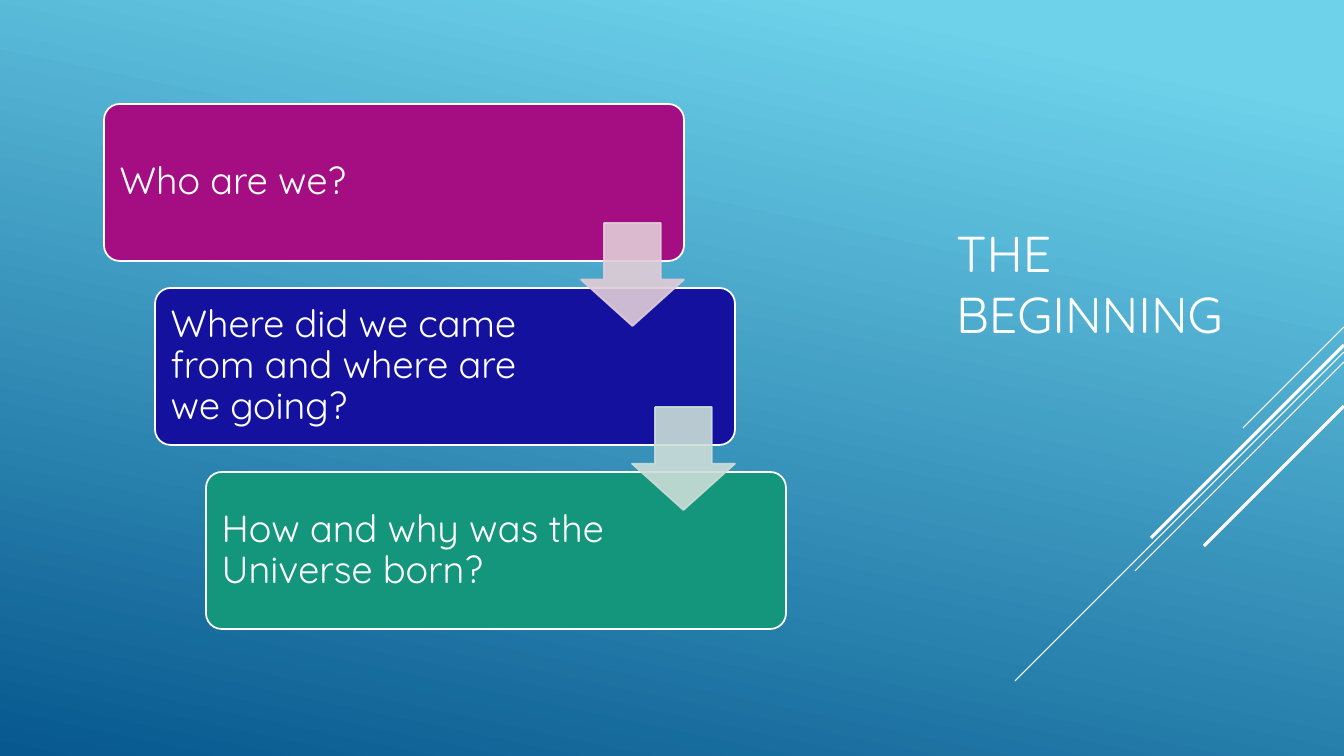
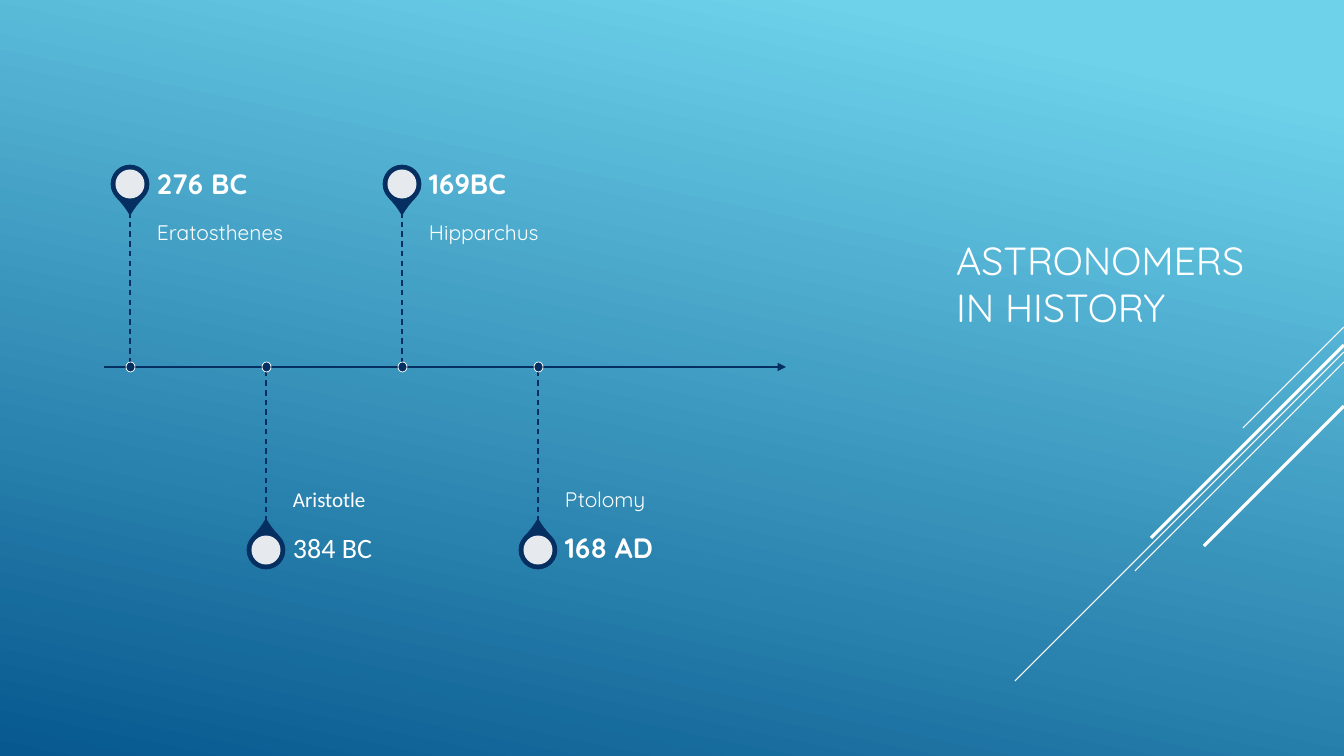
from lxml import etree
from pptx import Presentation
from pptx import util as u
from pptx.dml.color import RGBColor
from pptx.enum import dml, shapes, text
from pptx.oxml.ns import qn

SCALE = 914400 / 100.8
WIDTH, HEIGHT = 1344, 756
FONT = "Quicksand"
WHITE, NAVY = "FFFFFF", "052F61"
SKY, DEEP = "6ED2EB", "06588E"
TITLE_BOX = (946, 104, 336, 358)
STREAKS = [(327, 101, 0.75), (352, 329, 0.75), (362, 209, 0.75),
           (345, 193, 2.25), (406, 140, 2.25)]
QUESTIONS = [("Who are we?", "A50E82"),
             ("Where did we came from and where are we going?", "13119D"),
             ("How and why was the Universe born?", "14967C")]
ARROW_COLOURS = ["E1CCD8", "CCDDD8"]
ASTRONOMERS = [("276 BC", "Eratosthenes", FONT), ("384 BC", "Aristotle", "Calibri"),
               ("169BC", "Hipparchus", FONT), ("168 AD", "Ptolomy", FONT)]


def px(*lengths):
    """Turn pixel lengths into a list of EMU."""
    return [u.Emu(round(length * SCALE)) for length in lengths]


def colour(value):
    """Turn a hex string into a colour."""
    return RGBColor.from_string(value)


def write(shape, words, size, font=FONT, bold=False, anchor=text.MSO_ANCHOR.MIDDLE,
          insets=None, spacing=None):
    """Write one left-aligned white paragraph in a shape."""
    frame = shape.text_frame
    frame.auto_size = text.MSO_AUTO_SIZE.NONE
    frame.word_wrap = True
    frame.vertical_anchor = anchor
    if insets:
        (frame.margin_left, frame.margin_top,
         frame.margin_right, frame.margin_bottom) = px(*insets)
    paragraph = frame.paragraphs[0]
    paragraph.text = words
    paragraph.alignment = text.PP_ALIGN.LEFT
    paragraph.line_spacing = spacing
    paragraph.font.name = font
    paragraph.font.size = u.Pt(size)
    paragraph.font.bold = bold
    paragraph.font.color.rgb = colour(WHITE)


def add_shape(slide, kind, box, fill, line=None, weight=1.25, opacity=100):
    """Add a flat preset shape in a pixel box."""
    shape = slide.shapes.add_shape(kind, *px(*box))
    shape.shadow.inherit = False
    shape.fill.solid()
    shape.fill.fore_color.rgb = colour(fill)
    if line:
        shape.line.color.rgb = colour(line)
        shape.line.width = u.Pt(weight)
    else:
        shape.line.fill.background()
    if opacity < 100:
        for node in shape.element.spPr.iter(qn("a:srgbClr")):
            etree.SubElement(node, qn("a:alpha"), val=str(opacity * 1000))
    return shape


def add_line(slide, ends, stroke, weight, dashed=False, arrow=False):
    """Add a straight line between two pixel points."""
    connector = slide.shapes.add_connector(shapes.MSO_CONNECTOR.STRAIGHT, *px(*ends))
    connector.line.color.rgb = colour(stroke)
    connector.line.width = u.Pt(weight)
    if dashed:
        connector.line.dash_style = dml.MSO_LINE.DASH
    properties = connector.element.spPr
    if arrow:
        etree.SubElement(properties.find(qn("a:ln")), qn("a:tailEnd"), type="triangle")
    etree.SubElement(properties, qn("a:effectLst"))


def paint_master(master):
    """Give every slide the blue gradient."""
    fill = master.background.fill
    fill.gradient()
    fill.gradient_angle = 258
    for stop, value, position in zip(fill.gradient_stops, (SKY, DEEP), (0.1, 1)):
        stop.color.rgb = colour(value)
        stop.position = position


def add_slide(presentation, title, size):
    """Add a slide with diagonal streaks and the title on the right."""
    slide = presentation.slides.add_slide(presentation.slide_layouts[5])
    for top, reach, weight in STREAKS:
        add_line(slide, (WIDTH, top, WIDTH - reach, top + reach), WHITE, weight)
    shape = slide.shapes.title
    shape.left, shape.top, shape.width, shape.height = px(*TITLE_BOX)
    write(shape, title, size)
    return slide


def add_cascade(slide, box):
    """Place the stepped question cards and the arrows between them."""
    left, top, width, height = box
    card_width, card_height, arrow_size, overlap = 580, 157, 103, 38
    last = len(QUESTIONS) - 1
    step_x, step_y = (width - card_width) / last, (height - card_height) / last
    for index, (question, fill) in enumerate(QUESTIONS):
        card = add_shape(slide, shapes.MSO_SHAPE.ROUNDED_RECTANGLE,
                         (left + index * step_x, top + index * step_y,
                          card_width, card_height), fill, WHITE)
        card.adjustments[0] = 0.1
        write(card, question, 27, insets=(11, 11, 165, 11), spacing=0.9)
    for index, fill in enumerate(ARROW_COLOURS):
        arrow = add_shape(slide, shapes.MSO_SHAPE.DOWN_ARROW,
                          (left + index * step_x + card_width - arrow_size,
                           top + index * step_y + card_height - overlap,
                           arrow_size, arrow_size), fill, fill, opacity=90)
        arrow.adjustments[0], arrow.adjustments[1] = 0.55, 0.45


def add_event(slide, x, axis, above, event):
    """Place one pin, its stem, its dot and its two texts."""
    date, name, font = event
    side = -1 if above else 1
    stem, pin_distance, pin, hole = 155, 183, 37, 29
    text_left, text_width, date_height = x + 27, 221, 54
    pin_y = axis + side * pin_distance
    drop = add_shape(slide, shapes.MSO_SHAPE.TEAR,
                     (x - pin / 2, pin_y - pin / 2, pin, pin), NAVY, NAVY)
    drop.adjustments[0] = 1.15
    drop.rotation = 135 if above else 315
    add_shape(slide, shapes.MSO_SHAPE.OVAL,
              (x - hole / 2, pin_y - hole / 2, hole, hole), WHITE, opacity=90)
    name_top, date_top = (axis - stem, axis - stem - date_height) if above else (axis, axis + stem)
    name_box = slide.shapes.add_textbox(*px(text_left, name_top, text_width, stem))
    write(name_box, name, 15, font, spacing=0.9,
          anchor=text.MSO_ANCHOR.TOP if above else text.MSO_ANCHOR.BOTTOM,
          insets=(0, 10, 10, 16) if above else (0, 16, 0, 10))
    date_box = slide.shapes.add_textbox(*px(text_left, date_top, text_width, date_height))
    write(date_box, date, 20, font, bold=font == FONT, insets=(0, 0, 14, 0), spacing=0.9)
    add_line(slide, (x, axis + side * stem, x, axis), NAVY, 1, dashed=True)
    add_shape(slide, shapes.MSO_SHAPE.OVAL, (x - 4, axis - 5, 9, 10), NAVY, WHITE, 0.5)


def add_timeline(slide, box):
    """Place the time axis with events alternating above and below."""
    left, top, width, height = box
    axis, spacing = top + height / 2, 136
    add_line(slide, (left, axis, left + width, axis), NAVY, 1.5, arrow=True)
    for index, event in enumerate(ASTRONOMERS):
        add_event(slide, left + 26 + index * spacing, axis, index % 2 == 0, event)


def main():
    """Build and save the presentation."""
    presentation = Presentation()
    presentation.slide_width, presentation.slide_height = px(WIDTH, HEIGHT)
    paint_master(presentation.slide_master)
    add_cascade(add_slide(presentation, "THE BEGINNING", 36), (104, 104, 682, 525))
    add_timeline(add_slide(presentation, "ASTRONOMERS IN HISTORY", 28), (104, 104, 682, 526))
    presentation.save("out.pptx")


main()
